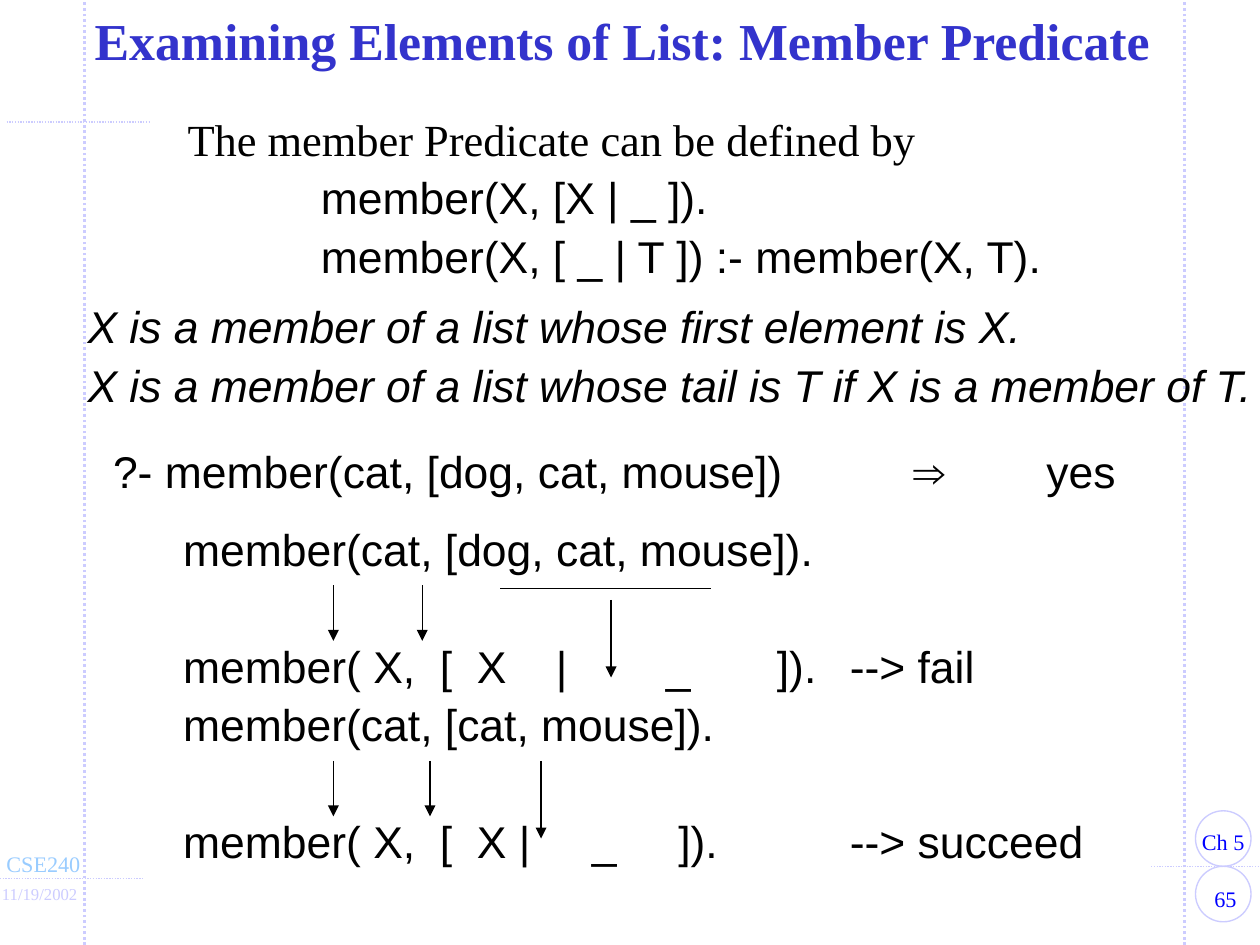
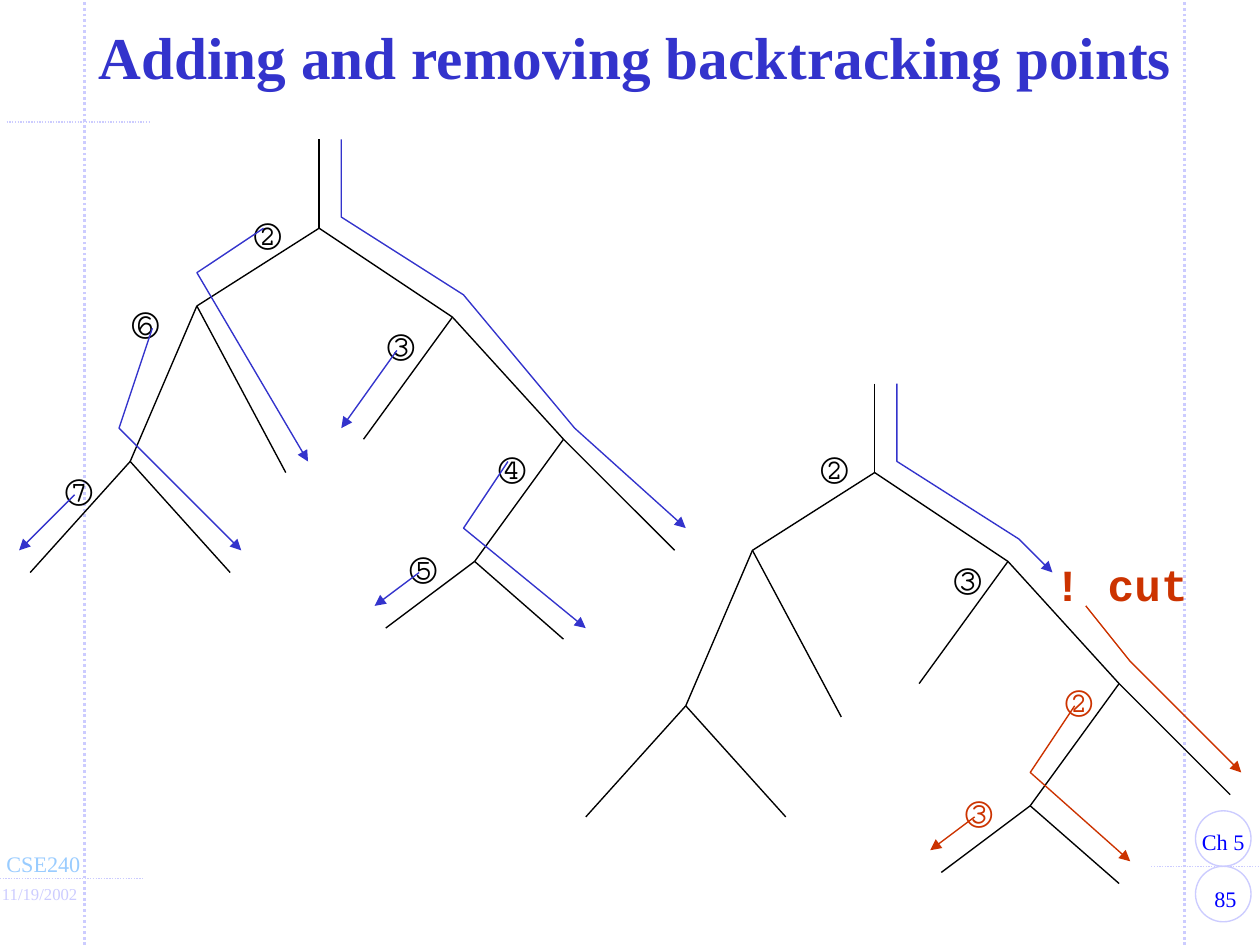
from dataclasses import dataclass

from lxml.etree import SubElement
from pptx import Presentation
from pptx.dml.color import RGBColor as Rgb
from pptx.enum.dml import MSO_LINE as Dash
from pptx.enum.shapes import MSO_CONNECTOR as Connector, MSO_SHAPE as Preset
from pptx.enum.text import MSO_ANCHOR as Anchor, PP_ALIGN as Align
from pptx.oxml.ns import qn
from pptx.util import Inches, Pt


@dataclass(frozen=True)
class Theme:
    ink: str = "000000"
    title: str = "3333CC"
    cut: str = "CC3300"
    frame: str = "CCCCFF"
    course: str = "99CCFF"
    badge: str = "0000FF"
    serif: str = "Times New Roman"
    sans: str = "Arial"
    mono: str = "Courier New"
    body_size: int = 24
    small_size: int = 12
    date_size: int = 9
    thin: float = 0.75
    thick: float = 1.5


THEME = Theme()
CELLS_PER_INCH = 12
BODY_SPACING = 1.1
SKIPPED_ROW = 31.6  # points left free for the arrows between two code lines

# Search tree, in cells from its own corner
TREE_EDGES = [
    ((28, 0), (28, 8)), ((28, 8), (17, 15)), ((28, 8), (40, 16)),
    ((40, 16), (32, 27)), ((40, 16), (50, 27)),
    ((50, 27), (42, 38)), ((50, 27), (60, 37)),
    ((17, 15), (11, 29)), ((17, 15), (25, 30)),
    ((11, 29), (2, 39)), ((11, 29), (20, 39)),
    ((42, 38), (34, 44)), ((42, 38), (50, 45)),
]
FULL_TREE_AT = (0.72, 12.55)
CUT_TREE_AT = (50.72, 34.55)


def cells(count):
    """Turn a number of grid cells into a length."""
    return Inches(count / CELLS_PER_INCH)


def shift(points, origin):
    return [(col + origin[0], row + origin[1]) for col, row in points]


# Text
def add_text(slide, area, rows, size=THEME.body_size, font=THEME.serif,
             color=THEME.ink, bold=False, italic=False, align=Align.LEFT,
             anchor=Anchor.TOP, spacing=1.0, wrap=False, tabs=()):
    """Rows are strings, or (string, options) with font, indent or before."""
    frame = slide.shapes.add_textbox(*map(cells, area)).text_frame
    frame.word_wrap = wrap
    frame.vertical_anchor = anchor
    for number, row in enumerate(rows):
        words, options = (row, {}) if isinstance(row, str) else row
        paragraph = frame.paragraphs[0] if number == 0 else frame.add_paragraph()
        paragraph.alignment = align
        paragraph.line_spacing = spacing
        if "before" in options:
            paragraph.space_before = Pt(options["before"])
        properties = paragraph._p.get_or_add_pPr()
        if "indent" in options:
            properties.set("marL", str(cells(options["indent"])))
        if tabs:
            stops = SubElement(properties, qn("a:tabLst"))
            for stop in tabs:
                SubElement(stops, qn("a:tab"), pos=str(cells(stop)), algn="l")
        run = paragraph.add_run()
        run.text = words
        run.font.name = options.get("font", font)
        run.font.size = Pt(size)
        run.font.bold = bold
        run.font.italic = italic
        run.font.color.rgb = Rgb.from_string(color)


def add_title(slide, area, words, size):
    add_text(slide, area, [words], size=size, color=THEME.title, bold=True,
             align=Align.CENTER, anchor=Anchor.MIDDLE, spacing=0.85, wrap=True)


# Lines
def add_path(slide, points, color=THEME.ink, width=THEME.thin,
             arrow=False, dotted=False):
    """Two points give a connector, more give an open outline."""
    stops = [(cells(col), cells(row)) for col, row in points]
    if len(stops) == 2:
        path = slide.shapes.add_connector(Connector.STRAIGHT, *stops[0], *stops[1])
    else:
        builder = slide.shapes.build_freeform(*stops[0])
        builder.add_line_segments(stops[1:], close=False)
        path = builder.convert_to_shape()
        path.fill.background()
    path.line.color.rgb = Rgb.from_string(color)
    path.line.width = Pt(width)
    if dotted:
        path.line.dash_style = Dash.ROUND_DOT
    if arrow:
        SubElement(path.line._get_or_add_ln(), qn("a:tailEnd"), type="triangle")
    SubElement(path._element.spPr, qn("a:effectLst"))


def add_tree(slide, origin):
    for edge in TREE_EDGES:
        add_path(slide, shift(edge, origin))


def add_routes(slide, origin, routes, color):
    for route in routes:
        add_path(slide, shift(route, origin), color=color, arrow=True)


def add_marks(slide, origin, marks, color=THEME.ink):
    for mark, corner in marks:
        [(col, row)] = shift([corner], origin)
        add_text(slide, (col, row, 6, 6), [mark], font=THEME.mono, color=color)


# Frame shared by all slides
def add_frame(slide, page):
    for col in (7.6, 106.6):
        add_path(slide, [(col, 85.1), (col, 0)], color=THEME.frame,
                 width=THEME.thick, dotted=True)
    for left, right, row in ((0, 13, 79.1), (103.6, 114, 78), (0.6, 13.6, 11)):
        add_path(slide, [(left, row), (right, row)], color=THEME.frame, dotted=True)
    for row in (73, 78):
        ring = slide.shapes.add_shape(
            Preset.OVAL, *map(cells, (107.6, row, 5, 5)))
        ring.shadow.inherit = False
        ring.fill.background()
        ring.line.color.rgb = Rgb.from_string(THEME.frame)
        ring.line.width = Pt(THEME.thin)
    for words, area in ((page, (107, 79.1, 6.6, 3.6)), ("Ch 5", (107, 74, 6.2, 3.6))):
        add_text(slide, area, [words], size=THEME.small_size,
                 color=THEME.badge, align=Align.CENTER)
    add_text(slide, (-0.6, 76, 9.1, 3.6), ["CSE240"],
             size=THEME.small_size, color=THEME.course)
    add_text(slide, (-1, 79, 9.2, 3), ["11/19/2002"],
             size=THEME.date_size, color=THEME.frame)


# Slides
def build_member_slide(slide):
    add_frame(slide, "65")
    add_title(slide, (0, 1, 112, 6), "Examining Elements of List: Member Predicate", 28)

    # Definition and its reading
    clause = {"font": THEME.sans, "indent": 12}
    add_text(slide, (15.7, 9, 97, 17), [
        "The member Predicate can be defined by",
        ("member(X, [X | _ ]).", clause),
        ("member(X, [ _ | T ]) :- member(X, T).", clause),
    ], spacing=BODY_SPACING, wrap=True)
    add_text(slide, (6.7, 25.9, 109.3, 11.8), [
        "X is a member of a list whose first element is X.",
        "X is a member of a list whose tail is T if X is a member of T.",
    ], font=THEME.sans, italic=True, spacing=BODY_SPACING, wrap=True)

    # Query and its trace
    add_text(slide, (9, 38.9, 95, 6.5),
             ["?- member(cat, [dog, cat, mouse])\t⇒\tyes"],
             font=THEME.sans, spacing=BODY_SPACING, wrap=True, tabs=(72, 84))
    matched = {"before": SKIPPED_ROW}
    add_text(slide, (15.3, 45.9, 98, 32.8), [
        "member(cat, [dog, cat, mouse]).",
        ("member( X,  [  X    |        _       ]).\t--> fail", matched),
        "member(cat, [cat, mouse]).",
        ("member( X,  [  X |     _     ]).\t--> succeed", matched),
    ], font=THEME.sans, spacing=BODY_SPACING, wrap=True, tabs=(60,))

    # Which argument matches which
    add_path(slide, [(45, 53), (64, 53)])
    for col, top, length in ((30, 52.7, 5), (38, 52.7, 5), (55, 54, 7),
                             (30, 68.5, 5), (38.7, 68.5, 5), (48.7, 68.5, 7)):
        add_path(slide, [(col, top), (col, top + length)], arrow=True)


def build_backtracking_slide(slide):
    add_frame(slide, "85")
    add_title(slide, (4.7, 1.5, 105, 8), "Adding and removing backtracking points", 32)

    # Full search
    add_tree(slide, FULL_TREE_AT)
    add_marks(slide, FULL_TREE_AT, [
        ("②", (21, 5)), ("③", (33, 15)), ("④", (43, 26)),
        ("⑤", (35, 35)), ("⑥", (10, 13)), ("⑦", (4, 28)),
    ])
    add_routes(slide, FULL_TREE_AT, [
        [(30, 0), (30, 7), (41, 14), (51, 26), (61, 35)],
        [(23, 8), (17, 12), (27, 29)],
        [(35, 19), (30, 26)],
        [(45, 29), (41, 35), (52, 44)],
        [(37, 39), (33, 42)],
        [(13, 17), (10, 26), (21, 37)],
        [(6, 32), (1, 37)],
    ], THEME.title)

    # Search with a cut
    add_tree(slide, CUT_TREE_AT)
    add_marks(slide, CUT_TREE_AT, [("②", (22, 4)), ("③", (34, 14))])
    add_routes(slide, CUT_TREE_AT, [[(30, 0), (30, 7), (41, 14), (44, 17)]], THEME.title)
    add_text(slide, (93.72, 49.6, 14.4, 6), ["! cut"],
             font=THEME.mono, color=THEME.cut, bold=True)
    add_marks(slide, CUT_TREE_AT, [("②", (44, 25)), ("③", (35, 35))], THEME.cut)
    add_routes(slide, CUT_TREE_AT, [
        [(47, 20), (51, 25), (61, 35)],
        [(46, 29), (42, 35), (51, 43)],
        [(37, 39), (33, 42)],
    ], THEME.cut)


def main():
    deck = Presentation()
    deck.slide_width, deck.slide_height = Inches(9.45), Inches(7.09)
    blank = deck.slide_layouts[6]
    for build in (build_member_slide, build_backtracking_slide):
        build(deck.slides.add_slide(blank))
    deck.save("out.pptx")


if __name__ == "__main__":
    main()
